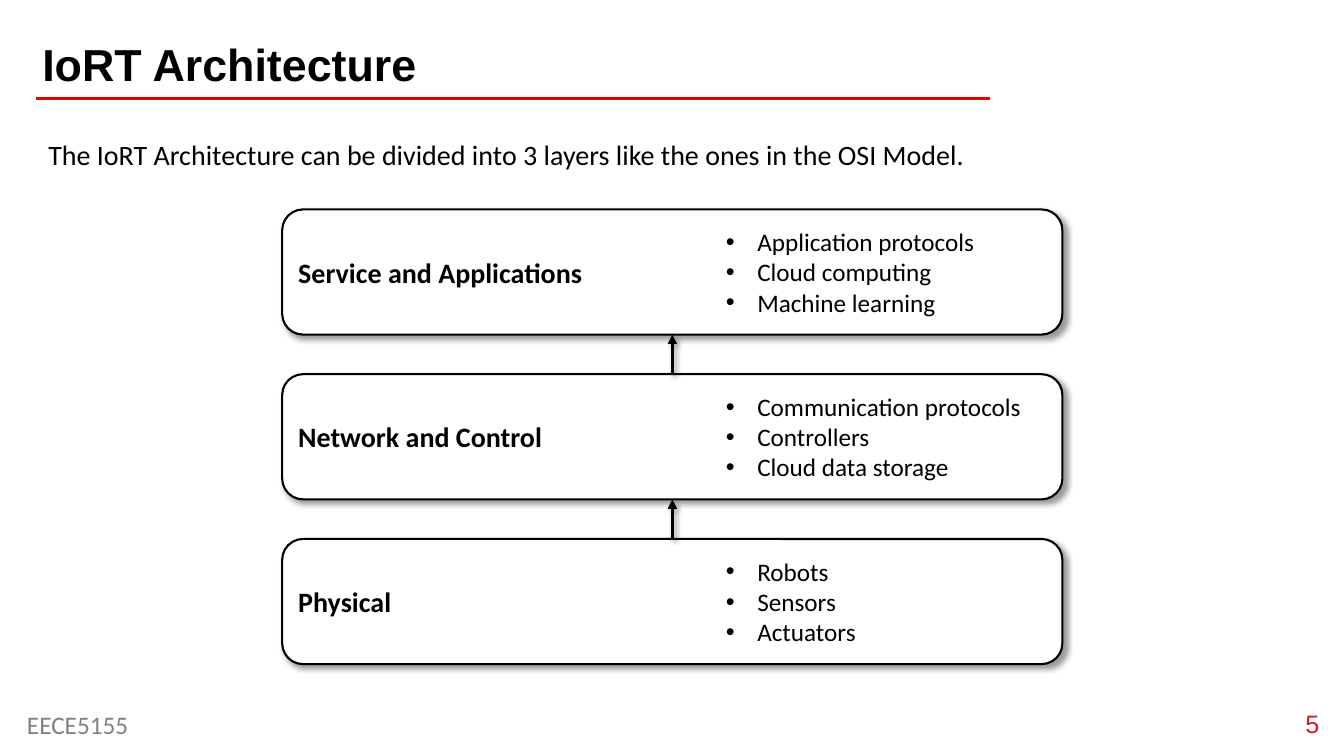
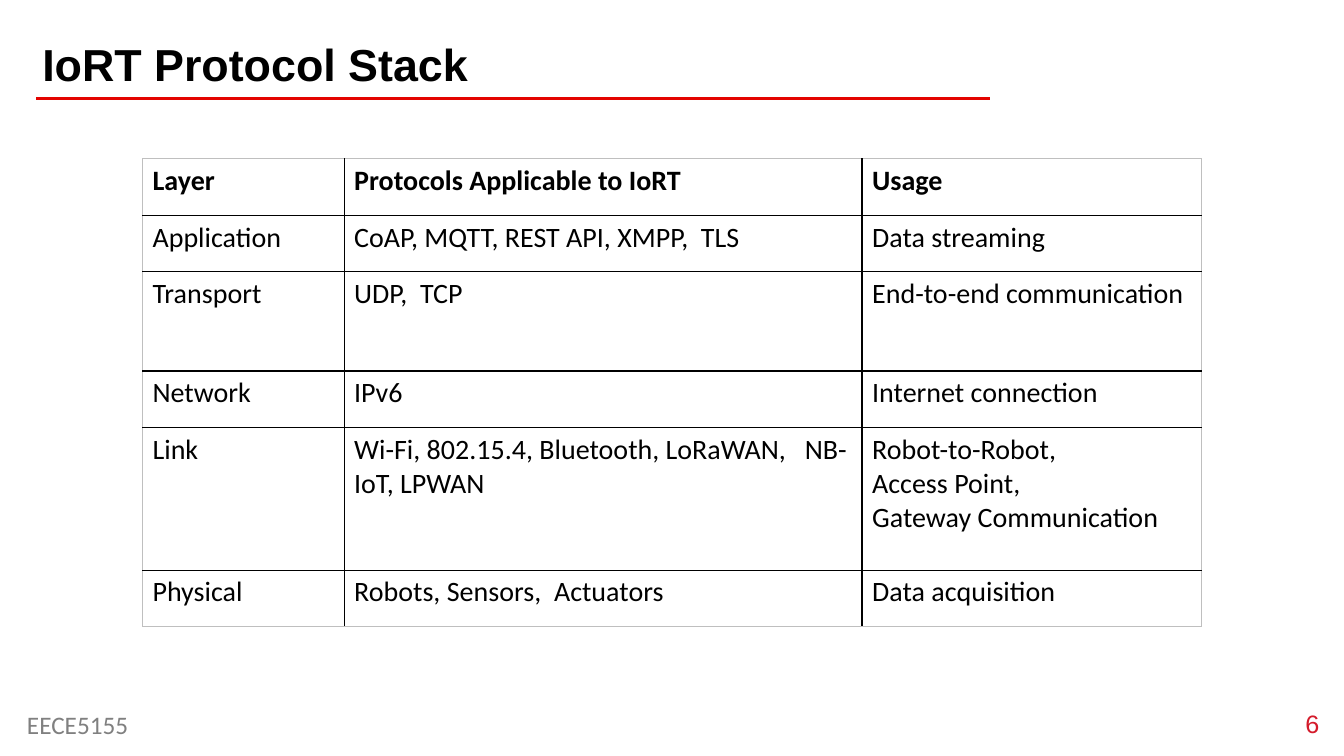
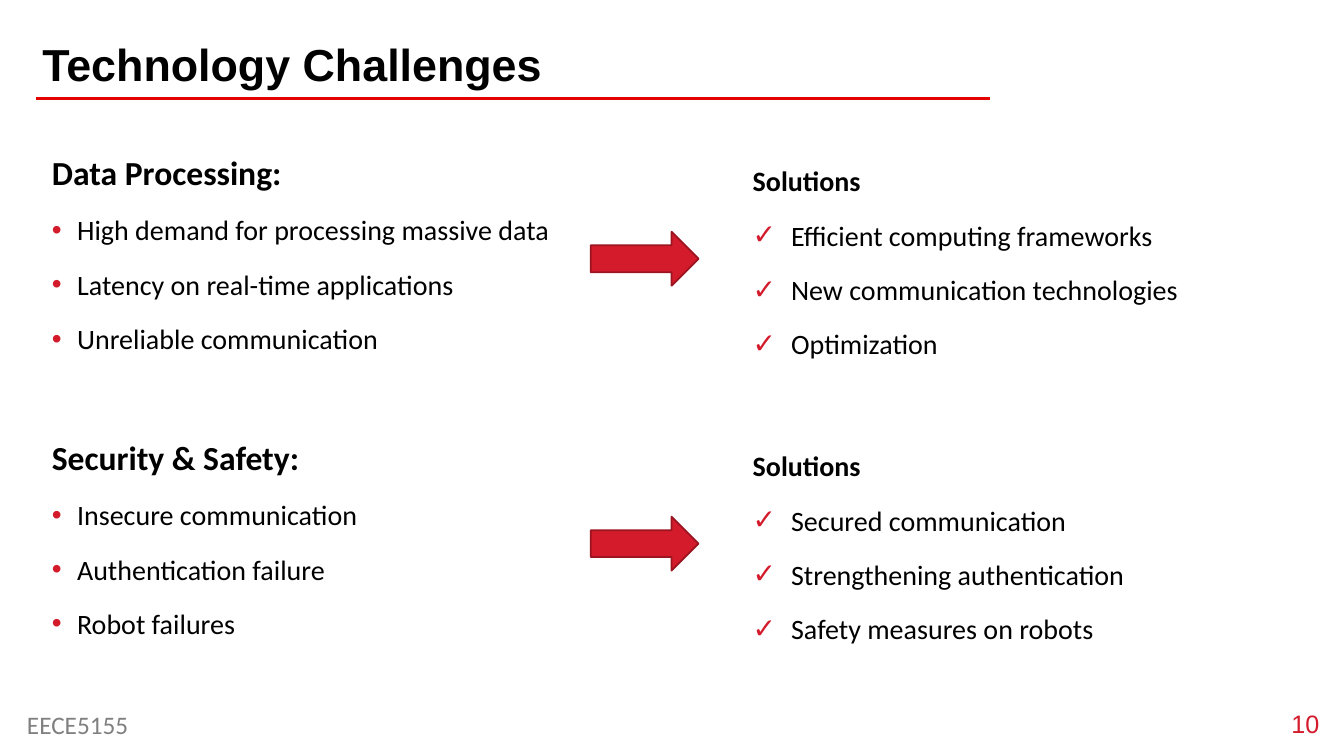
from itertools import pairwise

from lxml import etree
from pptx import Presentation
from pptx.dml.color import RGBColor
from pptx.enum import shapes, text
from pptx.oxml import ns
from pptx.util import Pt

BLACK = RGBColor(0x00, 0x00, 0x00)
WHITE = RGBColor(0xFF, 0xFF, 0xFF)
GRAY = RGBColor(0x80, 0x80, 0x80)
LIGHT_GRAY = RGBColor(0xBF, 0xBF, 0xBF)
RULE_RED = RGBColor(0xE3, 0x03, 0x00)
RED = RGBColor(0xD4, 0x1B, 0x2B)
ARROW_RED = RGBColor(0xD3, 0x1B, 0x2B)
DARK_RED = RGBColor(0x9C, 0x14, 0x20)

COURSE = "EECE5155"


def set_all(obj, values):
    for name, value in values.items():
        setattr(obj, name, value)


def add_xml(parent, tag, **attrs):
    el = etree.SubElement(parent, ns.qn(tag))
    for name, value in attrs.items():
        el.set(name, str(value))
    return el


def add_color(parent, color):
    fill = add_xml(parent, "a:solidFill")
    return add_xml(fill, "a:srgbClr", val=color)


class Deck:
    """Holds the shared style and the slide being drawn."""

    def __init__(self):
        self.prs = Presentation()
        set_all(self.prs, {"slide_width": Pt(960), "slide_height": Pt(540)})
        self.s = None

    def slide(self, title, number):
        self.s = self.prs.slides.add_slide(self.prs.slide_layouts[5])
        self.line(26, 70.5, 707, 70.5, RULE_RED, 2)
        sp = self.s.shapes.title
        set_all(sp, {"left": Pt(30.2), "top": Pt(24.5),
                     "width": Pt(662.4), "height": Pt(41)})
        self.frame(sp.text_frame, text.MSO_ANCHOR.BOTTOM, inset=0)
        p = sp.text_frame.paragraphs[0]
        set_all(p, {"alignment": text.PP_ALIGN.LEFT, "line_spacing": 0.9})
        self.run(p, title, 32, bold=True, font="Arial")
        self.label(COURSE, 12.2, 492.5, 467, 39.6, 18, color=GRAY,
                   anchor=text.MSO_ANCHOR.BOTTOM)
        self.label(number, 885.6, 491.8, 64, 39.6, 18, color=RED, font="Arial",
                   anchor=text.MSO_ANCHOR.BOTTOM, align=text.PP_ALIGN.RIGHT)

    def frame(self, tf, anchor, inset=None):
        set_all(tf, {"word_wrap": True, "auto_size": text.MSO_AUTO_SIZE.NONE,
                     "vertical_anchor": anchor})
        if inset is not None:
            for side in ("left", "top", "right", "bottom"):
                setattr(tf, f"margin_{side}", Pt(inset))

    def run(self, p, words, size, bold=False, color=BLACK, font="Calibri"):
        r = p.add_run()
        r.text = words
        set_all(r.font, {"size": Pt(size), "bold": bold, "name": font})
        r.font.color.rgb = color

    def box(self, x, y, w, h, anchor=text.MSO_ANCHOR.TOP):
        tf = self.s.shapes.add_textbox(Pt(x), Pt(y), Pt(w), Pt(h)).text_frame
        self.frame(tf, anchor)
        return tf

    def label(self, words, x, y, w, h, size, color=BLACK, font="Calibri",
              anchor=text.MSO_ANCHOR.TOP, align=text.PP_ALIGN.LEFT):
        p = self.box(x, y, w, h, anchor).paragraphs[0]
        p.alignment = align
        self.run(p, words, size, color=color, font=font)

    def bullets(self, x, y, w, h, items, size, indent, char="•", color=BLACK,
                heading=None, heading_size=None, spacing=None):
        """Bulleted list under an optional bold heading; spacing is a dict."""
        tf = self.box(x, y, w, h)
        lines = ([heading] if heading else []) + items
        for i, words in enumerate(lines):
            p = tf.paragraphs[0] if i == 0 else tf.add_paragraph()
            set_all(p, spacing or {})
            if heading and i == 0:
                self.run(p, words, heading_size, bold=True)
                continue
            self.run(p, words, size)
            pPr = p._p.get_or_add_pPr()
            pPr.set("marL", str(Pt(indent)))
            pPr.set("indent", str(-Pt(indent)))
            add_xml(add_xml(pPr, "a:buClr"), "a:srgbClr", val=color)
            add_xml(pPr, "a:buFont", typeface="Arial")
            add_xml(pPr, "a:buChar", char=char)

    def shadow(self, sp):
        effects = add_xml(sp._element.spPr, "a:effectLst")
        shade = add_xml(effects, "a:outerShdw", blurRad=Pt(4), dist=Pt(3),
                        dir=45 * 60000, algn="tl", rotWithShape=0)
        add_xml(add_xml(shade, "a:srgbClr", val=BLACK), "a:alpha", val=40000)

    def line(self, x1, y1, x2, y2, color, width):
        cn = self.s.shapes.add_connector(shapes.MSO_CONNECTOR.STRAIGHT,
                                         Pt(x1), Pt(y1), Pt(x2), Pt(y2))
        cn.line.color.rgb = color
        cn.line.width = Pt(width)
        add_xml(cn._element.spPr, "a:effectLst")
        return cn

    def arrow_up(self, lower, upper):
        cn = self.line(0, 0, 0, 0, BLACK, 2.25)
        cn.begin_connect(lower, 0)
        cn.end_connect(upper, 2)
        add_xml(cn.line._get_or_add_ln(), "a:tailEnd", type="triangle")
        spPr = cn._element.spPr
        spPr.remove(spPr.find(ns.qn("a:effectLst")))
        self.shadow(cn)

    def shape(self, kind, x, y, w, h, fill, line, width):
        sp = self.s.shapes.add_shape(kind, Pt(x), Pt(y), Pt(w), Pt(h))
        sp.fill.solid()
        sp.fill.fore_color.rgb = fill
        sp.line.color.rgb = line
        sp.line.width = Pt(width)
        return sp

    def layer(self, name, x, y, w, h):
        sp = self.shape(shapes.MSO_SHAPE.ROUNDED_RECTANGLE, x, y, w, h,
                        WHITE, BLACK, 1.5)
        self.shadow(sp)
        self.frame(sp.text_frame, text.MSO_ANCHOR.MIDDLE)
        p = sp.text_frame.paragraphs[0]
        p.alignment = text.PP_ALIGN.LEFT
        self.run(p, name, 20, bold=True)
        return sp

    def block_arrow(self, x, y, w, h):
        sp = self.shape(shapes.MSO_SHAPE.RIGHT_ARROW, x, y, w, h,
                        ARROW_RED, DARK_RED, 1.25)
        sp.shadow.inherit = False

    def borders(self, cell, outer):
        """Gray on the sides named in outer, black on the others."""
        tcPr = cell._tc.get_or_add_tcPr()
        for i, side in enumerate("LRTB"):
            edge = side in outer
            ln = etree.Element(ns.qn(f"a:ln{side}"))
            ln.set("w", str(Pt(0.75 if edge else 1)))
            add_color(ln, LIGHT_GRAY if edge else BLACK)
            tcPr.insert(i, ln)

    def table(self, x, y, widths, heights, rows):
        tbl = self.s.shapes.add_table(
            len(rows), len(widths), Pt(x), Pt(y),
            Pt(sum(widths)), Pt(sum(heights))).table
        set_all(tbl, {"first_row": False, "horz_banding": False})
        for col, w in zip(tbl.columns, widths):
            col.width = Pt(w)
        for row, h in zip(tbl.rows, heights):
            row.height = Pt(h)
        for i, row in enumerate(rows):
            for j, words in enumerate(row):
                cell = tbl.cell(i, j)
                cell.fill.solid()
                cell.fill.fore_color.rgb = WHITE
                sides = {"L": j == 0, "R": j == len(widths) - 1,
                         "T": i == 0, "B": i == len(rows) - 1}
                self.borders(cell, [k for k, edge in sides.items() if edge])
                tf = cell.text_frame
                for n, part in enumerate(words.split("\n")):
                    p = tf.add_paragraph() if n else tf.paragraphs[0]
                    self.run(p, part, 20, bold=i == 0)


def architecture(deck):
    deck.slide("IoRT Architecture", "5")
    layers = {
        "Service and Applications":
            ["Application protocols", "Cloud computing", "Machine learning"],
        "Network and Control":
            ["Communication protocols", "Controllers", "Cloud data storage"],
        "Physical": ["Robots", "Sensors", "Actuators"],
    }
    top, pitch = 149.6, 117.7
    boxes = [deck.layer(name, 201.6, top + i * pitch, 557.3, 89.4)
             for i, name in enumerate(layers)]
    for upper, lower in pairwise(boxes):
        deck.arrow_up(lower, upper)
    for i, items in enumerate(layers.values()):
        deck.bullets(511.3, top + 8.6 + i * pitch, 240, 72.7, items, 18, 22.5)
    deck.label("The IoRT Architecture can be divided into 3 layers like the "
               "ones in the OSI Model.", 27.4, 95, 886, 31.7, 20)


def protocol_stack(deck):
    deck.slide("IoRT Protocol Stack", "6")
    deck.table(101.8, 113.5, [144, 370, 242.5],
               [40.3, 40.3, 71, 40.3, 102, 40.3], [
        ["Layer", "Protocols Applicable to IoRT", "Usage"],
        ["Application", "CoAP, MQTT, REST API, XMPP,  TLS", "Data streaming"],
        ["Transport", "UDP,  TCP", "End-to-end communication"],
        ["Network", "IPv6", "Internet connection"],
        ["Link", "Wi-Fi, 802.15.4, Bluetooth, LoRaWAN,   NB-IoT, LPWAN",
         "Robot-to-Robot,\nAccess Point,\nGateway Communication"],
        ["Physical", "Robots, Sensors,  Actuators", "Data acquisition"],
    ])


def challenges(deck):
    deck.slide("Technology Challenges", "10")
    topics = [
        ("Data Processing:",
         ["High demand for processing massive data",
          "Latency on real-time applications", "Unreliable communication"],
         ["Efficient computing frameworks", "New communication technologies",
          "Optimization"]),
        ("Security & Safety:",
         ["Insecure communication", "Authentication failure",
          "Robot failures"],
         ["Secured communication", "Strengthening authentication",
          "Safety measures on robots"]),
    ]
    style = {"size": 20, "color": RED,
             "spacing": {"line_spacing": 1.2, "space_before": Pt(10)}}
    for i, (topic, problems, solutions) in enumerate(topics):
        dy = i * 203.5
        deck.bullets(30, 99.2 + dy, 390, 171, problems, indent=18,
                     heading=topic, heading_size=24, **style)
        deck.bullets(530.6, 108.8 + dy, 325, 151, solutions, indent=27.4,
                     char="✓", heading="Solutions", heading_size=20, **style)
        deck.block_arrow(422, 165.6 + dy, 77, 38.5)


def main():
    deck = Deck()
    for draw in (architecture, protocol_stack, challenges):
        draw(deck)
    deck.prs.save("out.pptx")


if __name__ == "__main__":
    main()
